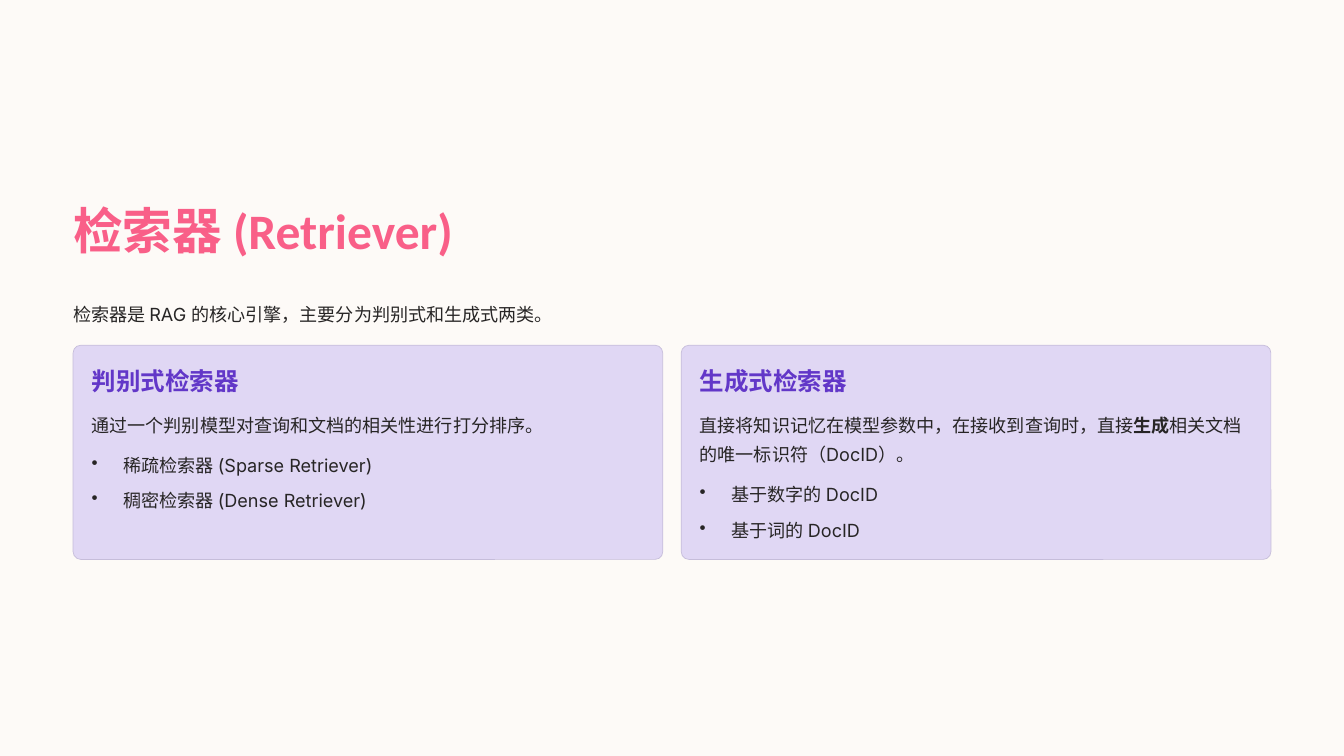
from lxml.etree import SubElement
from pptx import Presentation
from pptx.dml.color import RGBColor
from pptx.enum.shapes import MSO_SHAPE
from pptx.enum.text import MSO_ANCHOR, MSO_AUTO_SIZE, PP_ALIGN
from pptx.oxml.ns import qn
from pptx.util import Inches, Pt

CREAM = RGBColor(0xFD, 0xFA, 0xF7)
PINK = RGBColor(0xF9, 0x5F, 0x88)
INK = RGBColor(0x27, 0x25, 0x25)
LILAC = RGBColor(0xE0, 0xD7, 0xF4)
EDGE = RGBColor(0xC6, 0xBD, 0xDA)
VIOLET = RGBColor(0x62, 0x37, 0xC8)

TITLE = dict(name="Calibri", size=Pt(42.5), bold=True, color=PINK)
HEAD = dict(name="Calibri", size=Pt(21), bold=True, color=VIOLET)
BODY = dict(name="Inter", size=Pt(15.5), bold=False, color=INK)
BOLD = BODY | dict(bold=True)

LEFT, WIDE, GAP, PAD = 0.87, 14.26, 0.22, 0.22
CARDS = [
    ("判别式检索器",
     [("通过一个判别模型对查询和文档的相关性进行打分排序。", BODY)],
     ["稀疏检索器 (Sparse Retriever)", "稠密检索器 (Dense Retriever)"]),
    ("生成式检索器",
     [("直接将知识记忆在模型参数中，在接收到查询时，直接", BODY),
      ("生成", BOLD),
      ("相关文档的唯一标识符（DocID）。", BODY)],
     ["基于数字的 DocID", "基于词的 DocID"]),
]


def style(font, form):
    for key, val in form.items():
        if key == "color":
            font.color.rgb = val
        else:
            setattr(font, key, val)


def frame(shape):
    text = shape.text_frame
    form = dict(margin_left=0, margin_top=0, margin_right=0, margin_bottom=0,
                word_wrap=True, auto_size=MSO_AUTO_SIZE.NONE,
                vertical_anchor=MSO_ANCHOR.TOP)
    for key, val in form.items():
        setattr(text, key, val)
    return text


def write(para, runs, line):
    para.alignment = PP_ALIGN.LEFT
    para.line_spacing = Pt(line)
    for words, form in runs:
        run = para.add_run()
        run.text = words
        style(run.font, form)


def bullet(para):
    props = para._p.get_or_add_pPr()
    props.set("marL", str(Inches(0.38)))
    props.set("indent", str(-Inches(0.38)))
    SubElement(props, qn("a:buChar")).set("char", "•")


def add_text(slide, box, runs, line):
    text = frame(slide.shapes.add_textbox(*map(Inches, box)))
    write(text.paragraphs[0], runs, line)
    return text


def add_title(slide, box, words):
    title = slide.shapes.title
    title.left, title.top, title.width, title.height = map(Inches, box)
    write(frame(title).paragraphs[0], [(words, TITLE)], 53.5)


def add_card(slide, box, head, runs, items):
    x, y, w, h = box
    card = slide.shapes.add_shape(MSO_SHAPE.ROUNDED_RECTANGLE,
                                  *map(Inches, box))
    card.adjustments[0] = 0.036
    card.shadow.inherit = False
    card.fill.solid()
    card.fill.fore_color.rgb = LILAC
    card.line.color.rgb = EDGE
    card.line.width = Pt(0.6)
    inner = w - 2 * PAD
    add_text(slide, (x + PAD, y + 0.23, inner, 0.37), [(head, HEAD)], 26.5)
    text = add_text(slide, (x + PAD, y + 0.73, inner, h - 0.95), runs, 25)
    for num, item in enumerate(items):
        para = text.add_paragraph()
        bullet(para)
        para.space_before = Pt(5.5 if num else 9.5)
        write(para, [(item, BODY)], 25)


def main():
    deck = Presentation()
    deck.slide_width, deck.slide_height = Inches(16), Inches(9)
    slide = deck.slides.add_slide(deck.slide_layouts[5])
    slide.background.fill.solid()
    slide.background.fill.fore_color.rgb = CREAM
    add_title(slide, (LEFT, 2.34, WIDE, 0.75), "检索器 (Retriever)")
    add_text(slide, (LEFT, 3.52, WIDE, 0.35),
             [("检索器是 RAG 的核心引擎，主要分为判别式和生成式两类。", BODY)], 25)
    wide = (WIDE - GAP) / 2
    for num, card in enumerate(CARDS):
        left = LEFT + num * (wide + GAP)
        add_card(slide, (left, 4.11, wide, 2.55), *card)
    deck.save("out.pptx")


if __name__ == "__main__":
    main()
